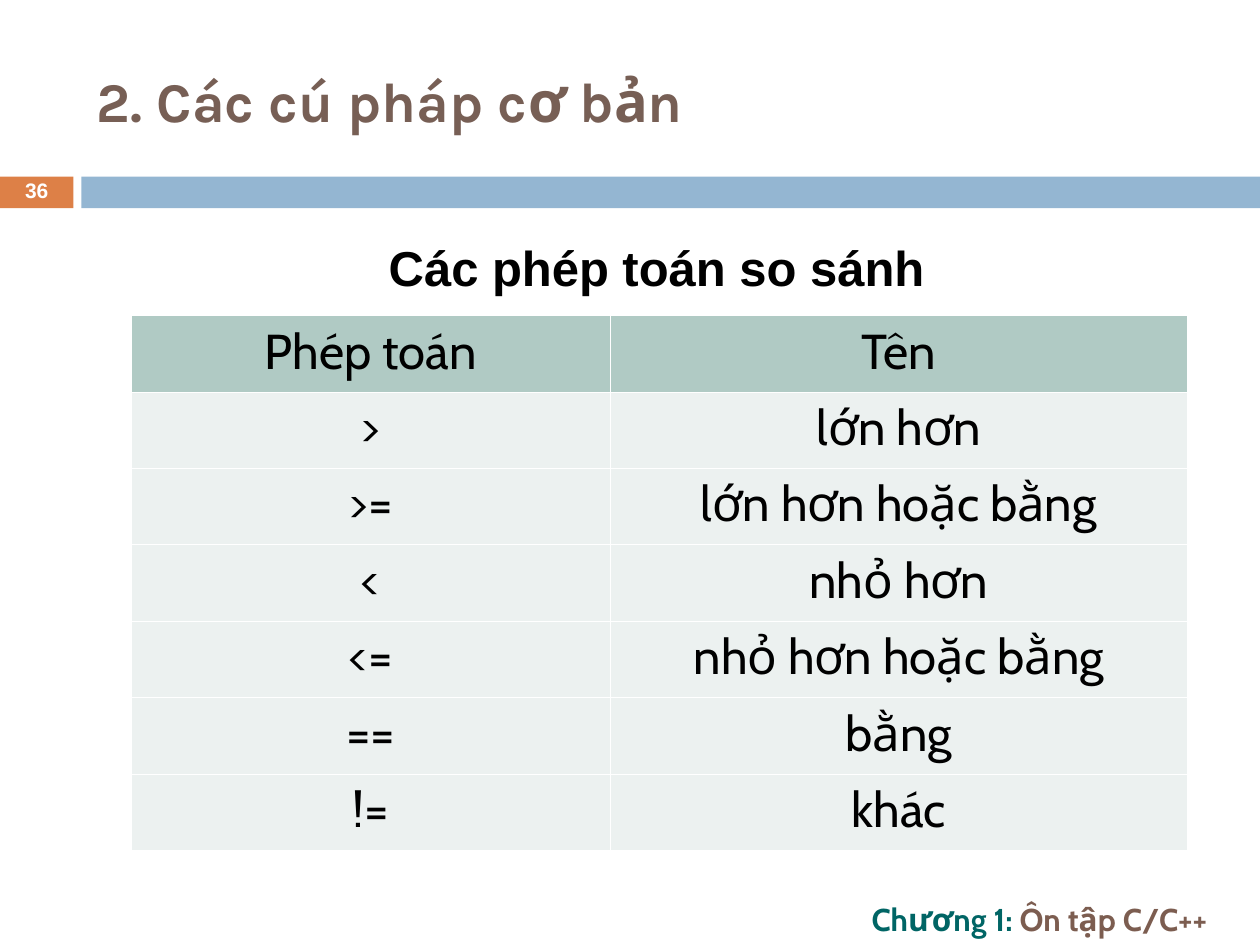
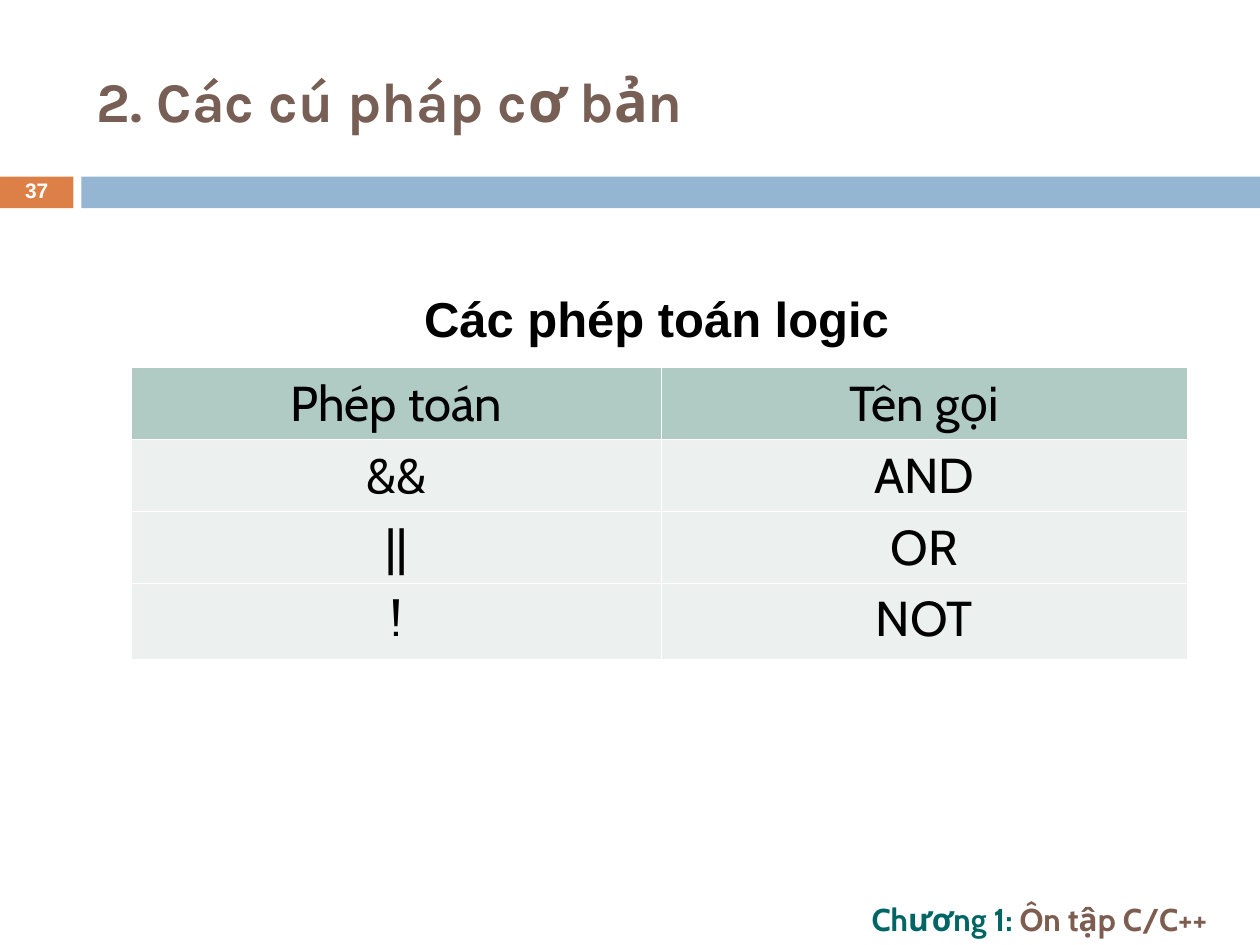
"""Build two slides that tabulate the C/C++ comparison and logical operators."""
from lxml import etree
from pptx import Presentation
from pptx.dml.color import RGBColor
from pptx.enum.shapes import MSO_SHAPE
from pptx.enum.text import MSO_ANCHOR, PP_ALIGN
from pptx.oxml.ns import qn
from pptx.util import Cm, Pt

RECTANGLE = MSO_SHAPE.RECTANGLE
TOP, MIDDLE = MSO_ANCHOR.TOP, MSO_ANCHOR.MIDDLE
LEFT, CENTER = PP_ALIGN.LEFT, PP_ALIGN.CENTER

WHITE = RGBColor(0xFF, 0xFF, 0xFF)
BLACK = RGBColor(0x00, 0x00, 0x00)
ORANGE = RGBColor(0xDD, 0x80, 0x47)
BLUE = RGBColor(0x94, 0xB6, 0xD2)
TITLE_BROWN = RGBColor(0x77, 0x5F, 0x55)
FOOTER_BROWN = RGBColor(0x7C, 0x5D, 0x50)
FOOTER_GREEN = RGBColor(0x00, 0x65, 0x65)
HEADER_FILL = RGBColor(0xB0, 0xCA, 0xC4)
BODY_FILL = RGBColor(0xEC, 0xF1, 0xF0)

TITLE = "2. Các cú pháp cơ bản"
TITLE_FONT = {"name": "Karla", "size": Pt(32), "bold": True}
NUMBER_FONT = {"name": "Arial", "size": Pt(12), "bold": True}
CAPTION_FONT = {"name": "Arial", "size": Pt(28), "bold": True}
CELL_FONT = {"name": "Cabin", "size": Pt(28), "bold": False}
FOOTER_FONT = {"name": "Cabin", "size": Pt(18), "bold": True}
FOOTER = [("Chương 1: ", FOOTER_GREEN), ("Ôn tập C/C++", FOOTER_BROWN)]

BANDS = [(0, 1.48, ORANGE), (1.64, 23.76, BLUE)]
TABLE_LEFT = 2.64

SLIDES = [
    {
        "number": "36",
        "caption": "Các phép toán so sánh",
        "caption_top": 4.67,
        "table_top": 6.36,
        "columns": [9.67, 11.62],
        "heights": [1.54] * 7,
        "rows": [
            ("Phép toán", "Tên"),
            (">", "lớn hơn"),
            (">=", "lớn hơn hoặc bằng"),
            ("<", "nhỏ hơn"),
            ("<=", "nhỏ hơn hoặc bằng"),
            ("==", "bằng"),
            ("!=", "khác"),
        ],
    },
    {
        "number": "37",
        "caption": "Các phép toán logic",
        "caption_top": 5.7,
        "table_top": 7.41,
        "columns": [10.7, 10.59],
        "heights": [1.45, 1.45, 1.45, 1.53],
        "rows": [
            ("Phép toán", "Tên gọi"),
            ("&&", "AND"),
            ("||", "OR"),
            ("!", "NOT"),
        ],
    },
]


def write(para, spans, font, align):
    para.alignment = align
    for text, color in spans:
        span = para.add_run()
        span.text = text
        for name, value in font.items():
            setattr(span.font, name, value)
        span.font.color.rgb = color


def add_text(page, place, spans, font, align=LEFT, anchor=MIDDLE):
    box = page.shapes.add_textbox(*[Cm(length) for length in place])
    box.text_frame.word_wrap = True
    box.text_frame.vertical_anchor = anchor
    para = box.text_frame.paragraphs[0]
    write(para, spans, font, align)
    return para


deck = Presentation()
deck.slide_width, deck.slide_height = Cm(25.4), Cm(19.05)

for content in SLIDES:
    page = deck.slides.add_slide(deck.slide_layouts[6])

    for left, width, color in BANDS:
        band = page.shapes.add_shape(RECTANGLE, Cm(left), Cm(3.56), Cm(width), Cm(0.64))
        band.shadow.inherit = False
        band.fill.solid()
        band.fill.fore_color.rgb = color
        band.line.fill.background()

    number = add_text(page, (0, 3.53, 1.48, 0.69), [(content["number"], WHITE)], NUMBER_FONT, CENTER)
    number.line_spacing = 0.8

    rows, columns, heights = content["rows"], content["columns"], content["heights"]
    table = page.shapes.add_table(
        len(rows), len(columns), Cm(TABLE_LEFT), Cm(content["table_top"]),
        Cm(sum(columns)), Cm(sum(heights)),
    ).table
    table.first_row = False
    table.horz_banding = False
    for column, width in zip(table.columns, columns):
        column.width = Cm(width)
    for row_index, (row, height, texts) in enumerate(zip(table.rows, heights, rows)):
        row.height = Cm(height)
        for cell, text in zip(row.cells, texts):
            para = cell.text_frame.paragraphs[0]
            write(para, [(text, BLACK)], CELL_FONT, CENTER)
            para.space_before = Pt(7)
            cell.fill.solid()
            cell.fill.fore_color.rgb = BODY_FILL if row_index else HEADER_FILL
            properties = cell.fill._xPr
            for position, side in enumerate(("a:lnL", "a:lnR", "a:lnT", "a:lnB")):
                border = etree.Element(qn(side), w=str(Pt(0.45)))
                border_fill = etree.SubElement(border, qn("a:solidFill"))
                etree.SubElement(border_fill, qn("a:srgbClr"), val=str(WHITE))
                properties.insert(position, border)

    add_text(page, (2.54, content["caption_top"], 21.39, 1.45),
             [(content["caption"], BLACK)], CAPTION_FONT, CENTER, TOP)
    add_text(page, (1.7, 0.64, 22.66, 2.74), [(TITLE, TITLE_BROWN)], TITLE_FONT)
    add_text(page, (17.32, 17.98, 8.08, 1.07), FOOTER, FOOTER_FONT)

deck.save("out.pptx")
